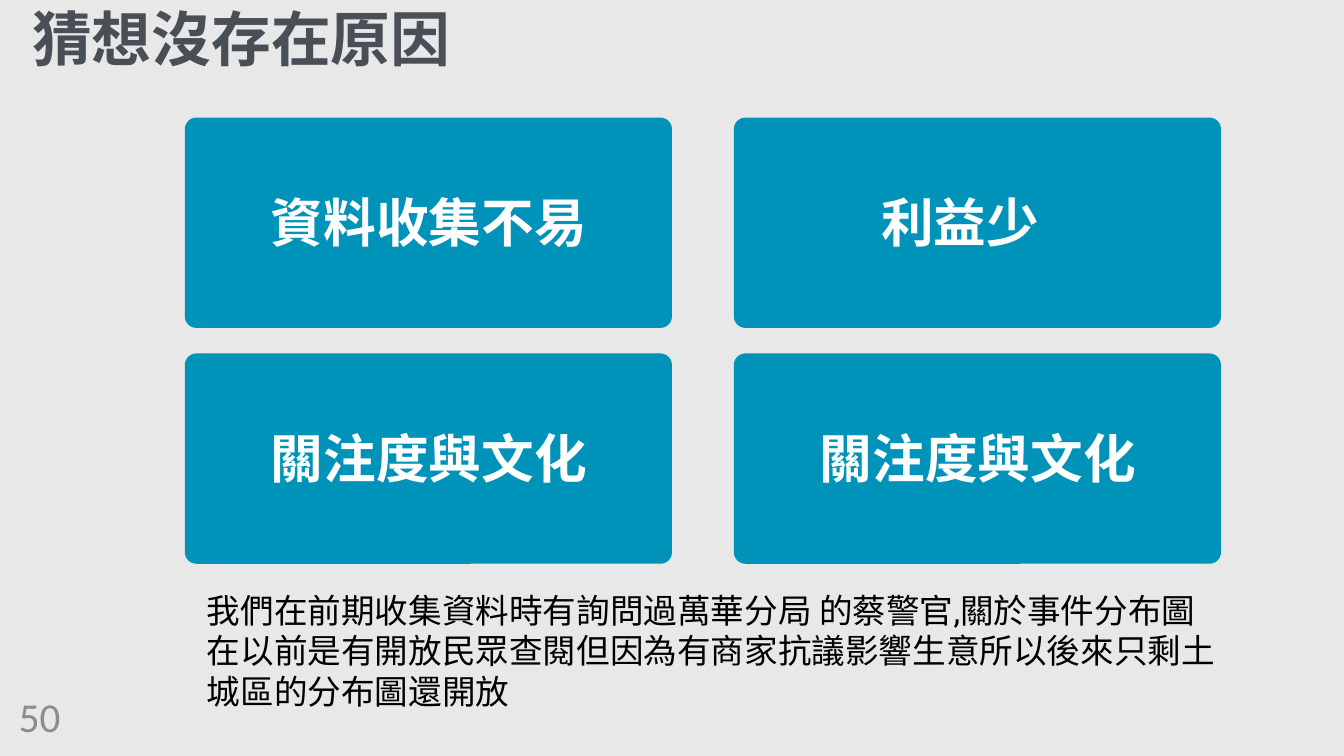
from dataclasses import dataclass

from pptx import Presentation
from pptx.dml.color import RGBColor
from pptx.enum.shapes import MSO_SHAPE as Shape
from pptx.enum.text import MSO_ANCHOR as Anchor, MSO_AUTO_SIZE as AutoSize, PP_ALIGN as Align
from pptx.util import Inches, Pt

SLIDE_W, SLIDE_H = 20, 11.25
BACKGROUND, CARD_FILL, WHITE = "E8E8E8", "0093B9", "FFFFFF"
INK, SLATE, GREY = "000000", "494F56", "8C8C8C"

# Grid of reason cards, in inches
GRID_LEFT, GRID_TOP = 2.75, 1.75
CARD_W, CARD_H = 7.25, 3.13
COL_STEP, ROW_STEP = 8.17, 3.51
LABEL_W, LABEL_H = 6.8, 1.07
LABEL_DX, LABEL_DY = 0.23, 0.92


@dataclass
class Reason:
    label: str
    col: int
    row: int
    shift: float = 0  # sideways offset of the label


@dataclass
class TextStyle:
    font: str
    size: float
    color: str
    bold: bool = False
    align: Align = Align.LEFT
    anchor: Anchor = Anchor.TOP
    line_pt: float | None = None
    inset: bool = False


REASONS = [
    Reason("資料收集不易", 0, 0),
    Reason("利益少", 1, 0, -0.26),
    Reason("關注度與文化", 0, 1),
    Reason("關注度與文化", 1, 1),
]
EXPLANATION = (
    "我們在前期收集資料時有詢問過萬華分局 的蔡警官,關於事件分布圖"
    "在以前是有開放民眾查閱但因為有商家抗議影響生意所以後來只剩土"
    "城區的分布圖還開放"
)

TITLE_STYLE = TextStyle("Quicksand", 64, SLATE, bold=True, line_pt=89.5)
LABEL_STYLE = TextStyle("Arial", 56.4, WHITE, bold=True, align=Align.CENTER, line_pt=79)
BODY_STYLE = TextStyle("Roboto", 36, INK, inset=True)
NUMBER_STYLE = TextStyle("Calibri", 44, GREY, align=Align.RIGHT, anchor=Anchor.MIDDLE, inset=True)


def rgb(color: str) -> RGBColor:
    return RGBColor.from_string(color)


def write(box, text: str, style: TextStyle) -> None:
    """Put one styled paragraph into a shape or placeholder."""
    frame = box.text_frame
    frame.text = text
    frame.word_wrap = True
    frame.auto_size = AutoSize.NONE
    frame.vertical_anchor = style.anchor
    if not style.inset:
        frame.margin_left = frame.margin_right = 0
        frame.margin_top = frame.margin_bottom = 0
    paragraph = frame.paragraphs[0]
    paragraph.alignment = style.align
    if style.line_pt:
        paragraph.line_spacing = Pt(style.line_pt)
    font = paragraph.runs[0].font
    font.name, font.size, font.bold = style.font, Pt(style.size), style.bold
    font.color.rgb = rgb(style.color)


def add_text(slide, left: float, top: float, width: float, height: float,
             text: str, style: TextStyle) -> None:
    box = slide.shapes.add_textbox(*map(Inches, (left, top, width, height)))
    write(box, text, style)


def add_reason(slide, reason: Reason) -> None:
    left = GRID_LEFT + reason.col * COL_STEP
    top = GRID_TOP + reason.row * ROW_STEP
    card = slide.shapes.add_shape(
        Shape.ROUNDED_RECTANGLE, *map(Inches, (left, top, CARD_W, CARD_H)))
    card.adjustments[0] = 0.055
    card.shadow.inherit = False
    card.fill.solid()
    card.fill.fore_color.rgb = rgb(CARD_FILL)
    card.line.fill.background()
    add_text(slide, left + LABEL_DX + reason.shift, top + LABEL_DY,
             LABEL_W, LABEL_H, reason.label, LABEL_STYLE)


def main() -> None:
    prs = Presentation()
    prs.slide_width, prs.slide_height = Inches(SLIDE_W), Inches(SLIDE_H)
    slide = prs.slides.add_slide(prs.slide_layouts[5])
    slide.background.fill.solid()
    slide.background.fill.fore_color.rgb = rgb(BACKGROUND)

    # Page number and explanation
    add_text(slide, 0, 10.29, SLIDE_W * 0.05, 0.73, "50", NUMBER_STYLE)
    add_text(slide, 2.98, 8.73, SLIDE_W * 0.77, 2.52, EXPLANATION, BODY_STYLE)

    # Title
    title = slide.shapes.title
    title.left, title.top = Inches(0.48), Inches(-0.15)
    title.width, title.height = Inches(8.56), Inches(1.21)
    write(title, "猜想沒存在原因", TITLE_STYLE)

    # Reason cards
    for reason in REASONS:
        add_reason(slide, reason)

    prs.save("out.pptx")


if __name__ == "__main__":
    main()
